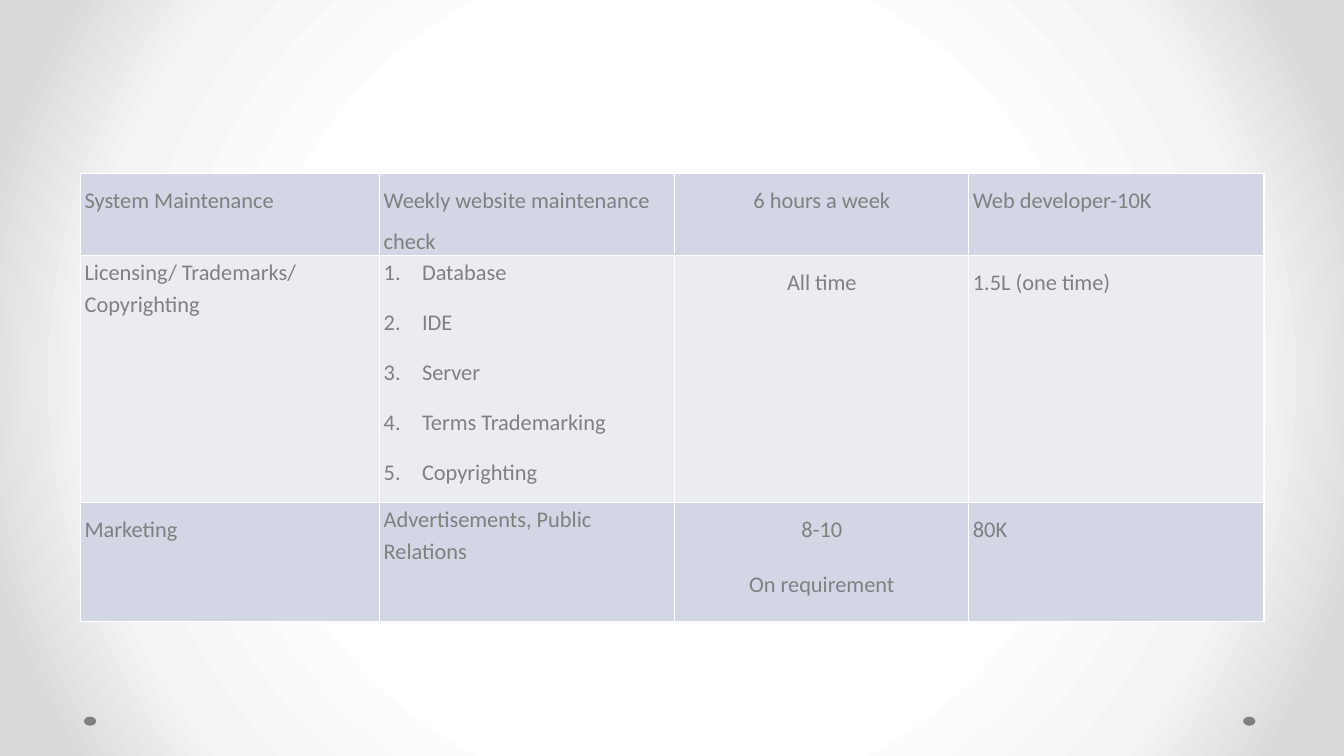
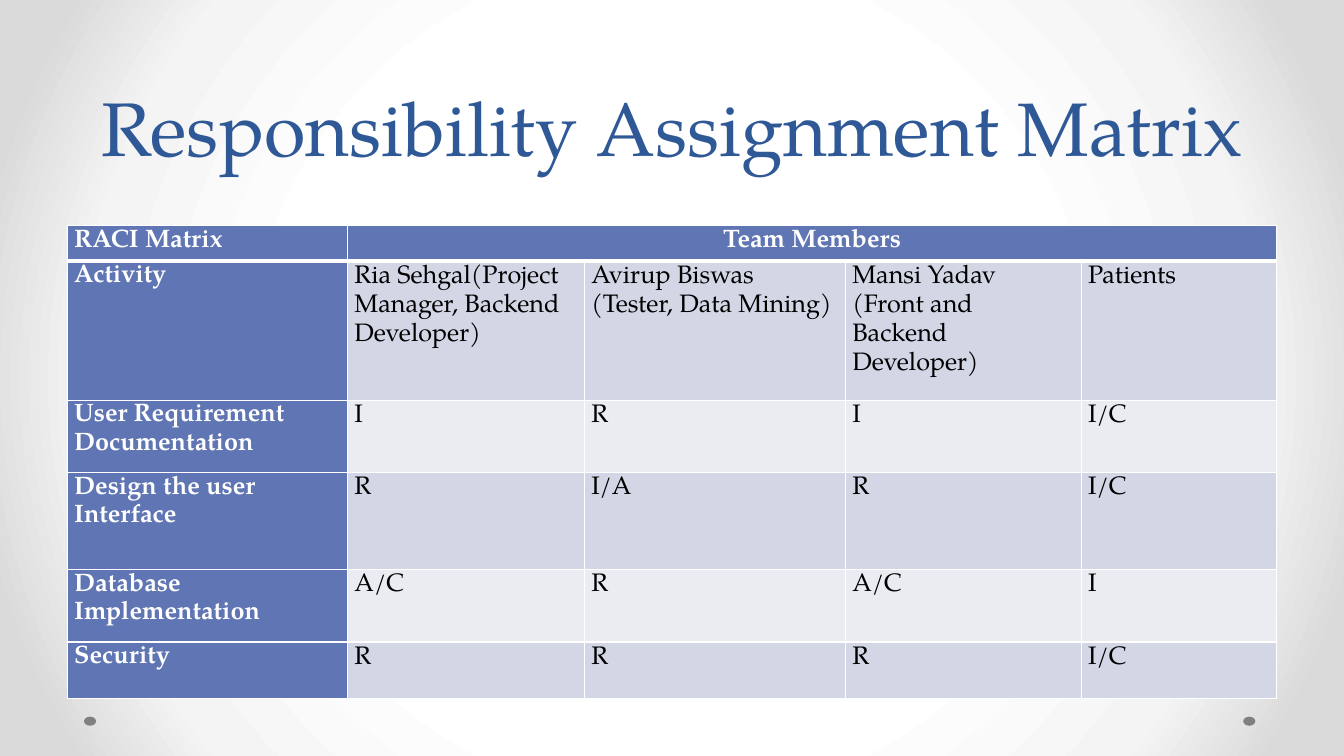
from lxml import etree
from pptx import Presentation
from pptx.dml.color import RGBColor
from pptx.enum.shapes import MSO_SHAPE
from pptx.enum.text import MSO_ANCHOR, PP_ALIGN
from pptx.oxml import parse_xml
from pptx.oxml.ns import nsdecls, qn
from pptx.util import Inches, Pt

OVAL = MSO_SHAPE.OVAL
BOTTOM = MSO_ANCHOR.BOTTOM
LEFT, CENTER = PP_ALIGN.LEFT, PP_ALIGN.CENTER

PAGE_WIDTH, PAGE_HEIGHT = Inches(13.33), Inches(7.5)
WHITE, BLACK, GREY = "FFFFFF", "000000", "808080"
TITLE_BLUE, HEADER_BLUE = "2F5897", "6076B4"
BANDS = ("D2D6E5", "EAECF2")
GLOW = ((50, WHITE), (76, "F4F4F4"), (92, "DADADA"))
SANS, SERIF = "Calibri", "TeX Gyre Pagella"

TITLE_BOX = (5, 0, 90, 23.33)
DOT_BOXES = ((6.25, 94.8, 0.9, 1.2), (92.5, 94.8, 0.9, 1.2))

COST_BOX = (6, 22.93, 88.05, 59.2)
COST_COLUMNS = (2.97, 2.93, 2.92, 2.93)
COST_ROWS = (0.81, 2.45, 1.18)
COSTS = (
    (["System Maintenance"], ["Weekly website maintenance check"],
     ["6 hours a week"], ["Web developer-10K"]),
    (["Licensing/ Trademarks/ Copyrighting"],
     ["Database", "IDE", "Server", "Terms Trademarking", "Copyrighting"],
     ["All time"], ["1.5L (one time)"]),
    (["Marketing"], ["Advertisements, Public Relations"],
     ["8-10", "On requirement"], ["80K"]),
)
COST_TIGHT_CELLS = {(1, 0), (1, 1), (2, 1)}
COST_LIST_CELL = (1, 1)
COST_CENTERED_COLUMN = 2

RACI_BOX = (5, 29.87, 90, 60.8)
RACI_COLUMNS = (2.78, 2.35, 2.59, 2.34, 1.94)
RACI_ROWS = (0.35, 1.25, 0.72, 0.96, 0.72, 0.56)
RACI = (
    ("RACI Matrix", "Team Members"),
    ("Activity", "Ria Sehgal(Project Manager, Backend Developer)",
     "Avirup Biswas (Tester, Data Mining)",
     "Mansi Yadav (Front and Backend Developer)", "Patients"),
    ("User Requirement Documentation", "I", "R", "I", "I/C"),
    ("Design the user Interface", "R", "I/A", "R", "I/C"),
    ("Database Implementation", "A/C", "R", "A/C", "I"),
    ("Security", "R", "R", "R", "I/C"),
)


def color(value):
    """Turn a hex string into a colour."""
    return RGBColor.from_string(value)


def place(box):
    """Turn percentages of the page into left, top, width and height."""
    left, top, width, height = box
    return (int(PAGE_WIDTH * left / 100), int(PAGE_HEIGHT * top / 100),
            int(PAGE_WIDTH * width / 100), int(PAGE_HEIGHT * height / 100))


def set_values(target, values):
    """Set every attribute named in a dict."""
    for name, value in values.items():
        setattr(target, name, value)


def write(frame, lines, size, font, ink, bold=False, numbered=False, **layout):
    """Write paragraphs in one style, numbered when asked."""
    for index, line in enumerate(lines):
        para = frame.add_paragraph() if index else frame.paragraphs[0]
        if numbered:
            properties = para._p.get_or_add_pPr()
            indent = Inches(0.38)
            properties.set("marL", str(indent))
            properties.set("indent", str(-indent))
            etree.SubElement(properties, qn("a:buAutoNum"), type="arabicPeriod")
            if index:
                para.space_before = Pt(3.2)
        set_values(para, layout)
        span = para.add_run()
        span.text = line
        set_values(span.font, {"size": Pt(size), "name": font, "bold": bold})
        span.font.color.rgb = color(ink)


def paint_background(master):
    """Give the master a radial glow that greys towards the corners."""
    fill = master.background.fill
    fill.solid()
    solid = master.element.xpath(".//p:bgPr/a:solidFill")[0]
    stops = "".join(f'<a:gs pos="{share * 1000}"><a:srgbClr val="{tone}"/></a:gs>'
                    for share, tone in GLOW)
    solid.getparent().replace(solid, parse_xml(
        f'<a:gradFill {nsdecls("a")} rotWithShape="1"><a:gsLst>{stops}</a:gsLst>'
        '<a:path path="circle"><a:fillToRect l="50000" t="50000" r="50000" b="50000"/>'
        '</a:path></a:gradFill>'))


def add_page(deck):
    """Add a blank page with the two footer dots."""
    page = deck.slides.add_slide(deck.slide_layouts[6])
    for box in DOT_BOXES:
        dot = page.shapes.add_shape(OVAL, *place(box))
        dot.shadow.inherit = False
        dot.fill.solid()
        dot.fill.fore_color.rgb = color(GREY)
        dot.line.fill.background()
    return page


def add_title(page, text, box):
    """Add a centred title that stands on the bottom of its box."""
    frame = page.shapes.add_textbox(*place(box)).text_frame
    set_values(frame, {"word_wrap": True, "vertical_anchor": BOTTOM})
    write(frame, [text], 54, SERIF, TITLE_BLUE, alignment=CENTER, line_spacing=Pt(58))


def add_grid(page, box, columns, rows):
    """Add a plain table whose columns and rows share out the box."""
    left, top, width, height = place(box)
    table = page.shapes.add_table(len(rows), len(columns), left, top, width, height).table
    set_values(table, {"first_row": False, "horz_banding": False})
    for column, share in zip(table.columns, columns):
        column.width = int(width * share / sum(columns))
    for row, share in zip(table.rows, rows):
        row.height = int(height * share / sum(rows))
    return table


def style_cell(cell, fill, inset, thick=""):
    """Set margins, white borders and fill; thick names the heavy side."""
    set_values(cell, {"margin_left": Inches(inset), "margin_right": Inches(inset),
                      "margin_top": 0, "margin_bottom": 0})
    properties = cell._tc.get_or_add_tcPr()
    for side in "LRTB":
        width = Pt(3 if side == thick else 1)
        properties.append(parse_xml(
            f'<a:ln{side} {nsdecls("a")} w="{width}"><a:solidFill>'
            f'<a:srgbClr val="{WHITE}"/></a:solidFill></a:ln{side}>'))
    cell.fill.solid()
    cell.fill.fore_color.rgb = color(fill)


def add_cost_table(page, box):
    """Add the table of activities, efforts and costs."""
    table = add_grid(page, box, COST_COLUMNS, COST_ROWS)
    for row, entries in enumerate(COSTS):
        for column, lines in enumerate(entries):
            cell = table.cell(row, column)
            style_cell(cell, BANDS[row % 2], 0.04)
            write(cell.text_frame, lines, 16, SANS, GREY,
                  numbered=(row, column) == COST_LIST_CELL,
                  alignment=CENTER if column == COST_CENTERED_COLUMN else LEFT,
                  line_spacing=1.15 if (row, column) in COST_TIGHT_CELLS else 1.5,
                  space_after=Pt(10))


def add_raci_table(page, box):
    """Add the matrix with a header row and a header column."""
    table = add_grid(page, box, RACI_COLUMNS, RACI_ROWS)
    for row, entries in enumerate(RACI):
        for column in range(len(RACI_COLUMNS)):
            cell = table.cell(row, column)
            header = row == 0 or column == 0
            style_cell(cell, HEADER_BLUE if header else BANDS[(row - 1) % 2], 0.07,
                       {0: "B", 1: "T"}.get(row, ""))
            if column < len(entries):
                write(cell.text_frame, [entries[column]], 18, SERIF,
                      WHITE if header else BLACK, bold=header,
                      alignment=CENTER if row == 0 and column else LEFT,
                      line_spacing=1.15, space_after=Pt(10))
    table.cell(0, 1).merge(table.cell(0, len(RACI_COLUMNS) - 1))


def main():
    """Build and save the deck."""
    deck = Presentation()
    set_values(deck, {"slide_width": PAGE_WIDTH, "slide_height": PAGE_HEIGHT})
    paint_background(deck.slide_master)
    add_cost_table(add_page(deck), COST_BOX)
    matrix_page = add_page(deck)
    add_title(matrix_page, "Responsibility Assignment Matrix", TITLE_BOX)
    add_raci_table(matrix_page, RACI_BOX)
    deck.save("out.pptx")


if __name__ == "__main__":
    main()
